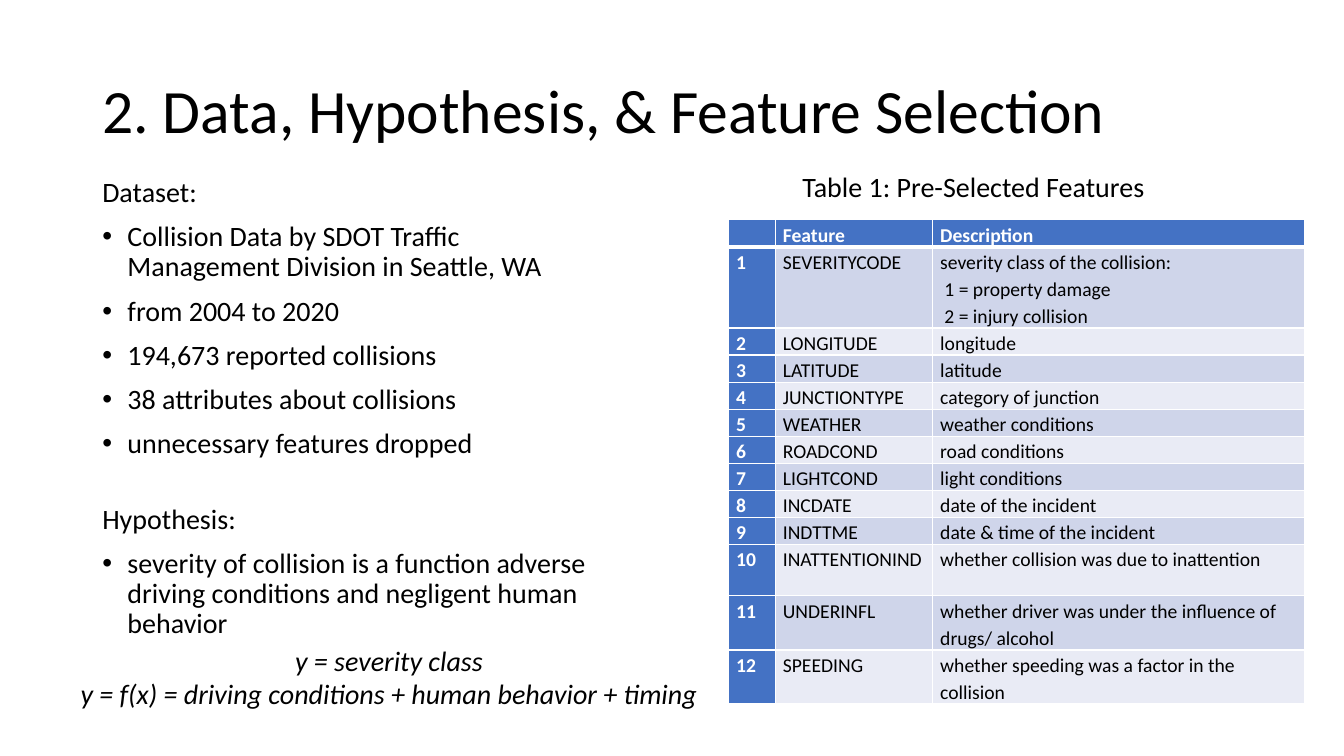
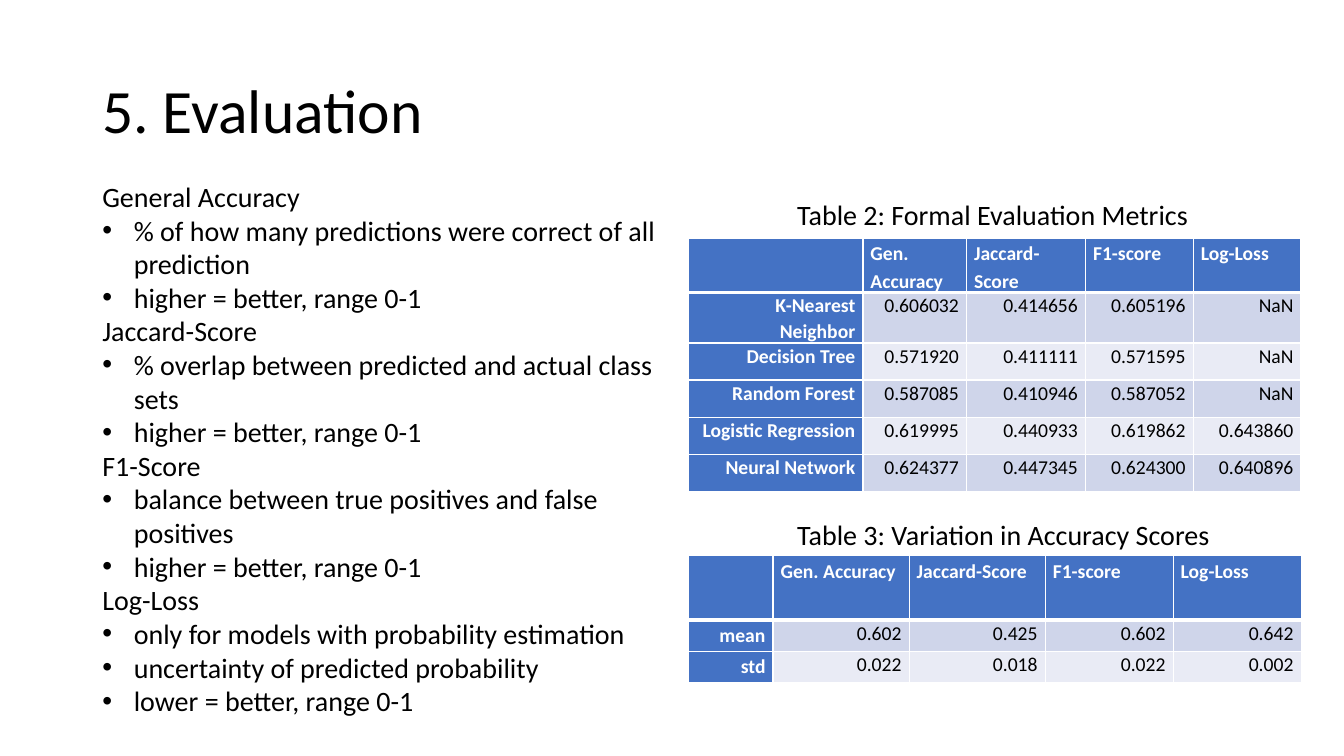
from lxml import etree
from pptx import Presentation
from pptx.dml.color import RGBColor
from pptx.enum.text import MSO_ANCHOR as Anchor, PP_ALIGN as Align
from pptx.oxml.ns import qn
from pptx.util import Pt

FONT = "Calibri"
BLACK, WHITE = "000000", "FFFFFF"
BLUE, BAND_DARK, BAND_LIGHT = "4472C4", "CFD5EA", "E9EBF5"
TITLE_SIZE, TEXT_SIZE, TABLE_SIZE = 44, 20, 14

DATA_NOTES = [
    ("Dataset:", [
        "Collision Data by SDOT Traffic Management Division in Seattle, WA",
        "from 2004 to 2020",
        "194,673 reported collisions",
        "38 attributes about collisions",
        "unnecessary features dropped",
    ]),
    ("Hypothesis:", [
        "severity of collision is a function adverse driving conditions "
        "and negligent human behavior",
    ]),
]

FEATURES = [
    ("SEVERITYCODE", "severity class of the collision:\n1 = property damage\n2 = injury collision"),
    ("LONGITUDE", "longitude"),
    ("LATITUDE", "latitude"),
    ("JUNCTIONTYPE", "category of junction"),
    ("WEATHER", "weather conditions"),
    ("ROADCOND", "road conditions"),
    ("LIGHTCOND", "light conditions"),
    ("INCDATE", "date of the incident"),
    ("INDTTME", "date & time of the incident"),
    ("INATTENTIONIND", "whether collision was due to inattention"),
    ("UNDERINFL", "whether driver was under the influence of drugs/ alcohol"),
    ("SPEEDING", "whether speeding was a factor in the collision"),
]

HIGHER = "higher = better, range 0-1"
METRIC_NOTES = [
    ("General Accuracy", ["% of how many predictions were correct of all prediction", HIGHER]),
    ("Jaccard-Score", ["% overlap between predicted and actual class sets", HIGHER]),
    ("F1-Score", ["balance between true positives and false positives", HIGHER]),
    ("Log-Loss", [
        "only for models with probability estimation",
        "uncertainty of predicted probability",
        "lower = better, range 0-1",
    ]),
]

METRIC_HEADER = ("", "Gen. Accuracy", "Jaccard-Score", "F1-score", "Log-Loss")
MODEL_SCORES = [
    ("K-Nearest Neighbor", "0.606032", "0.414656", "0.605196", "NaN"),
    ("Decision Tree", "0.571920", "0.411111", "0.571595", "NaN"),
    ("Random Forest", "0.587085", "0.410946", "0.587052", "NaN"),
    ("Logistic Regression", "0.619995", "0.440933", "0.619862", "0.643860"),
    ("Neural Network", "0.624377", "0.447345", "0.624300", "0.640896"),
]
SCORE_VARIATION = [
    ("mean", "0.602", "0.425", "0.602", "0.642"),
    ("std", "0.022", "0.018", "0.022", "0.002"),
]


def color(value):
    return RGBColor.from_string(value)


def style_para(para, size=TEXT_SIZE, tint=BLACK, bold=False, italic=False,
               align=Align.LEFT, spacing=1.0, before=0):
    para.alignment = align
    para.line_spacing = spacing
    para.space_before = Pt(before)
    for span in para.runs:
        font = span.font
        font.name, font.size = FONT, Pt(size)
        font.bold, font.italic = bold, italic
        font.color.rgb = color(tint)


def set_bullet(para, indent):
    props = para._p.get_or_add_pPr()
    props.set("marL", str(Pt(indent)))
    props.set("indent", str(-Pt(indent)))
    etree.SubElement(props, qn("a:buFont"), typeface="Arial")
    etree.SubElement(props, qn("a:buChar"), char="•")


def add_text(slide, area, text, anchor=Anchor.TOP, **style):
    box = slide.shapes.add_textbox(*map(Pt, area))
    frame = box.text_frame
    frame.word_wrap = True
    frame.vertical_anchor = anchor
    frame.text = text
    for para in frame.paragraphs:
        style_para(para, **style)
    return frame


def add_titled_slide(deck, title):
    slide = deck.slides.add_slide(deck.slide_layouts[6])
    add_text(slide, (66, 28.8, 828, 104.4), title, Anchor.MIDDLE,
             size=TITLE_SIZE, spacing=0.9)
    return slide


def add_notes_list(slide, area, groups, indent, spacing=1.0, before=0, group_gap=0):
    lines = [(text, level) for heading, points in groups
             for level, texts in enumerate(([heading], points)) for text in texts]
    frame = add_text(slide, area, "\n".join(text for text, _ in lines),
                     spacing=spacing, before=before)
    for position, (para, (_, level)) in enumerate(zip(frame.paragraphs, lines)):
        if level:
            set_bullet(para, indent)
        elif position:
            para.space_before = Pt(group_gap)


def set_borders(cell, bottom):
    props = cell._tc.get_or_add_tcPr()
    for side, width in (("L", 1), ("R", 1), ("T", 1), ("B", bottom)):
        line = etree.SubElement(props, qn(f"a:ln{side}"), w=str(Pt(width)))
        fill = etree.SubElement(line, qn("a:solidFill"))
        etree.SubElement(fill, qn("a:srgbClr"), val=WHITE)


def fill_cell(cell, text, fill, bottom, **style):
    set_borders(cell, bottom)
    cell.fill.solid()
    cell.fill.fore_color.rgb = color(fill)
    cell.margin_left = cell.margin_right = Pt(5.4)
    cell.margin_top = cell.margin_bottom = 0
    cell.text_frame.text = text
    for position, para in enumerate(cell.text_frame.paragraphs):
        style_para(para, size=TABLE_SIZE, **style)
        if position:
            para._p.get_or_add_pPr().set("marL", str(Pt(3)))
        if not para.runs:
            etree.SubElement(para._p, qn("a:endParaRPr"), sz=str(TABLE_SIZE * 100))


def add_grid(slide, left, top, widths, heights, rows,
             align=Align.LEFT, spacing=1.15, label_spacing=1.15):
    frame = slide.shapes.add_table(len(rows), len(widths), Pt(left), Pt(top),
                                   Pt(sum(widths)), Pt(sum(heights)))
    table = frame.table
    table.first_col = True
    for column, width in zip(table.columns, widths):
        column.width = Pt(width)
    for row, height in zip(table.rows, heights):
        row.height = Pt(height)
    for r, values in enumerate(rows):
        for c, text in enumerate(values):
            cell = table.cell(r, c)
            if r == 0:
                fill_cell(cell, text, BLUE, 3, tint=WHITE, bold=True, spacing=1.15)
            elif c == 0:
                fill_cell(cell, text, BLUE, 1, tint=WHITE, bold=True,
                          align=align, spacing=label_spacing)
            else:
                band = BAND_DARK if r % 2 else BAND_LIGHT
                fill_cell(cell, text, band, 1, align=align, spacing=spacing)


def build_data_slide(deck):
    slide = add_titled_slide(deck, "2. Data, Hypothesis, & Feature Selection")
    add_notes_list(slide, (66, 123.8, 381.6, 359.3), DATA_NOTES, 18,
                   spacing=0.9, before=10, group_gap=32)
    rows = [("", "Feature", "Description")]
    rows += [(str(number), *feature) for number, feature in enumerate(FEATURES, 1)]
    add_grid(slide, 520.4, 157, (33.4, 112.4, 265.6),
             [18, 55.4] + [18] * 8 + [36.7] * 3, rows)
    add_text(slide, (566, 117.4, 270, 31.7), "Table 1: Pre-Selected Features")
    add_text(slide, (43.2, 455.8, 469.4, 55.4),
             "y = severity class\ny = f(x) = driving conditions + human behavior + timing",
             italic=True, align=Align.CENTER)


def build_evaluation_slide(deck):
    slide = add_titled_slide(deck, "5. Evaluation")
    add_notes_list(slide, (66, 124.6, 426.2, 395.3), METRIC_NOTES, 22.5)
    number_style = dict(align=Align.RIGHT, spacing=1.07)
    add_grid(slide, 491.8, 170.4, (124.6, 74, 85, 77, 77), [37.4] + [26.5] * 5,
             [METRIC_HEADER, *MODEL_SCORES], label_spacing=1.07, **number_style)
    add_grid(slide, 491.8, 397, (60.4, 97.2, 97.2, 91.4, 91.4), [46, 22.3, 22.3],
             [METRIC_HEADER, *SCORE_VARIATION], **number_style)
    add_text(slide, (562.3, 137.5, 310, 31.7), "Table 2: Formal Evaluation Metrics")
    add_text(slide, (562.3, 365.8, 325, 31.7), "Table 3: Variation in Accuracy Scores")


def main():
    deck = Presentation()
    deck.slide_width, deck.slide_height = Pt(960), Pt(540)
    build_data_slide(deck)
    build_evaluation_slide(deck)
    deck.save("out.pptx")


if __name__ == "__main__":
    main()
